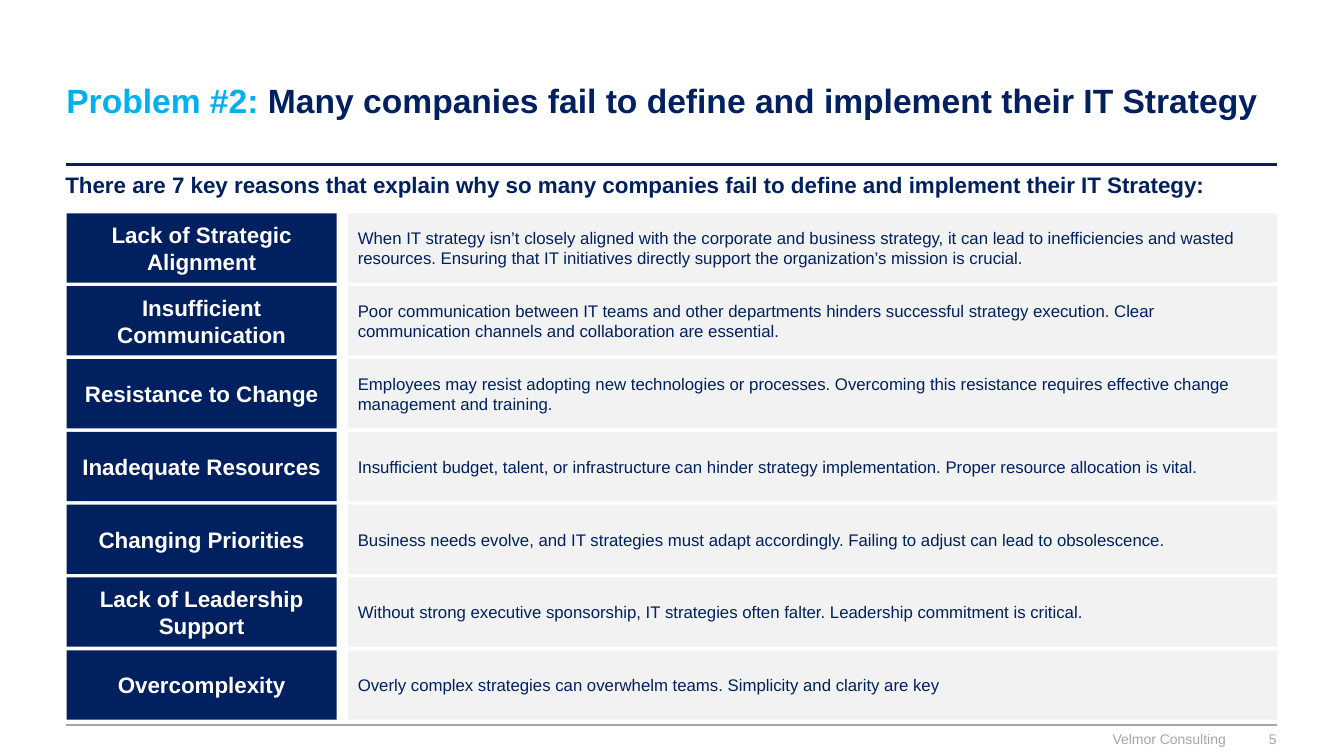
from lxml.etree import SubElement
from pptx import Presentation
from pptx.dml.color import RGBColor
from pptx.enum.shapes import MSO_CONNECTOR, MSO_SHAPE
from pptx.enum.text import MSO_ANCHOR, PP_ALIGN
from pptx.oxml.ns import qn
from pptx.util import Pt

COLORS = {
    "navy": "002060",
    "cyan": "00B0F0",
    "gray": "A6A6A6",
    "light": "F2F2F2",
    "white": "FFFFFF",
}

LEFT, RIGHT = 47.5, 912.25
ROW_TOP, ROW_HEIGHT, ROW_PITCH = 152.5, 49.5, 52
LABEL_WIDTH, DETAIL_LEFT = 193, 248.5

REASONS = [
    ("Lack of Strategic Alignment",
     "When IT strategy isn’t closely aligned with the corporate and business strategy, it can lead to "
     "inefficiencies and wasted resources. Ensuring that IT initiatives directly support the "
     "organization’s mission is crucial."),
    ("Insufficient Communication",
     "Poor communication between IT teams and other departments hinders successful strategy execution. "
     "Clear communication channels and collaboration are essential."),
    ("Resistance to Change",
     "Employees may resist adopting new technologies or processes. Overcoming this resistance requires "
     "effective change management and training."),
    ("Inadequate Resources",
     "Insufficient budget, talent, or infrastructure can hinder strategy implementation. "
     "Proper resource allocation is vital."),
    ("Changing Priorities",
     "Business needs evolve, and IT strategies must adapt accordingly. "
     "Failing to adjust can lead to obsolescence."),
    ("Lack of Leadership Support",
     "Without strong executive sponsorship, IT strategies often falter. "
     "Leadership commitment is critical."),
    ("Overcomplexity",
     "Overly complex strategies can overwhelm teams. Simplicity and clarity are key"),
]


class SlideBuilder:
    font_name = "Arial"

    def __init__(self, slide):
        self.slide = slide

    def color(self, name):
        return RGBColor.from_string(COLORS[name])

    def rule(self, y, color, width):
        connector = self.slide.shapes.add_connector(
            MSO_CONNECTOR.STRAIGHT, Pt(LEFT), Pt(y), Pt(RIGHT), Pt(y))
        connector.line.color.rgb = self.color(color)
        connector.line.width = Pt(width)
        SubElement(connector._element.spPr, qn("a:effectLst"))

    def fill_text(self, shape, runs, size, bold=False, align=PP_ALIGN.LEFT,
                  anchor=MSO_ANCHOR.MIDDLE, inset=True):
        frame_format = {"word_wrap": True, "vertical_anchor": anchor}
        if not inset:
            for side in ("left", "right", "top", "bottom"):
                frame_format[f"margin_{side}"] = 0
        for name, value in frame_format.items():
            setattr(shape.text_frame, name, value)
        paragraph = shape.text_frame.paragraphs[0]
        paragraph.alignment = align
        font_format = {"name": self.font_name, "size": Pt(size), "bold": bold}
        for text, color in runs:
            run = paragraph.add_run()
            run.text = text
            for name, value in font_format.items():
                setattr(run.font, name, value)
            run.font.color.rgb = self.color(color)

    def text(self, left, top, width, height, runs, size, **style):
        shape = self.slide.shapes.add_textbox(Pt(left), Pt(top), Pt(width), Pt(height))
        self.fill_text(shape, runs, size, **style)

    def box(self, left, top, width, height, fill, runs, size, **style):
        shape = self.slide.shapes.add_shape(
            MSO_SHAPE.RECTANGLE, Pt(left), Pt(top), Pt(width), Pt(height))
        shape.shadow.inherit = False
        shape.fill.solid()
        shape.fill.fore_color.rgb = self.color(fill)
        shape.line.fill.background()
        self.fill_text(shape, runs, size, **style)


def main():
    presentation = Presentation()
    presentation.slide_width, presentation.slide_height = Pt(960), Pt(540)
    builder = SlideBuilder(presentation.slides.add_slide(presentation.slide_layouts[6]))

    builder.rule(117.5, "navy", 2)
    builder.rule(517.75, "gray", 1)
    builder.text(40.3, 28.8, 872, 85,
                 [("Problem #2: ", "cyan"),
                  ("Many companies fail to define and implement their IT Strategy", "navy")],
                 24, bold=True)
    footer = {"align": PP_ALIGN.RIGHT, "inset": False}
    builder.text(678.25, 522, 197.25, 12.25, [("Velmor Consulting", "gray")], 10,
                 anchor=MSO_ANCHOR.TOP, **footer)
    builder.text(883.5, 520.5, 28.25, 15, [("5", "gray")], 10, **footer)
    builder.text(39.6, 118.8, 873.4, 26.6,
                 [("There are 7 key reasons that explain why so many companies fail to define "
                   "and implement their IT Strategy:", "navy")],
                 16, bold=True, anchor=MSO_ANCHOR.TOP)

    for index, (label, detail) in enumerate(REASONS):
        top = ROW_TOP + index * ROW_PITCH
        builder.box(LEFT, top, LABEL_WIDTH, ROW_HEIGHT, "navy", [(label, "white")], 16,
                    bold=True, align=PP_ALIGN.CENTER)
        builder.box(DETAIL_LEFT, top, RIGHT - DETAIL_LEFT, ROW_HEIGHT, "light",
                    [(detail, "navy")], 12)

    presentation.save("out.pptx")


if __name__ == "__main__":
    main()
